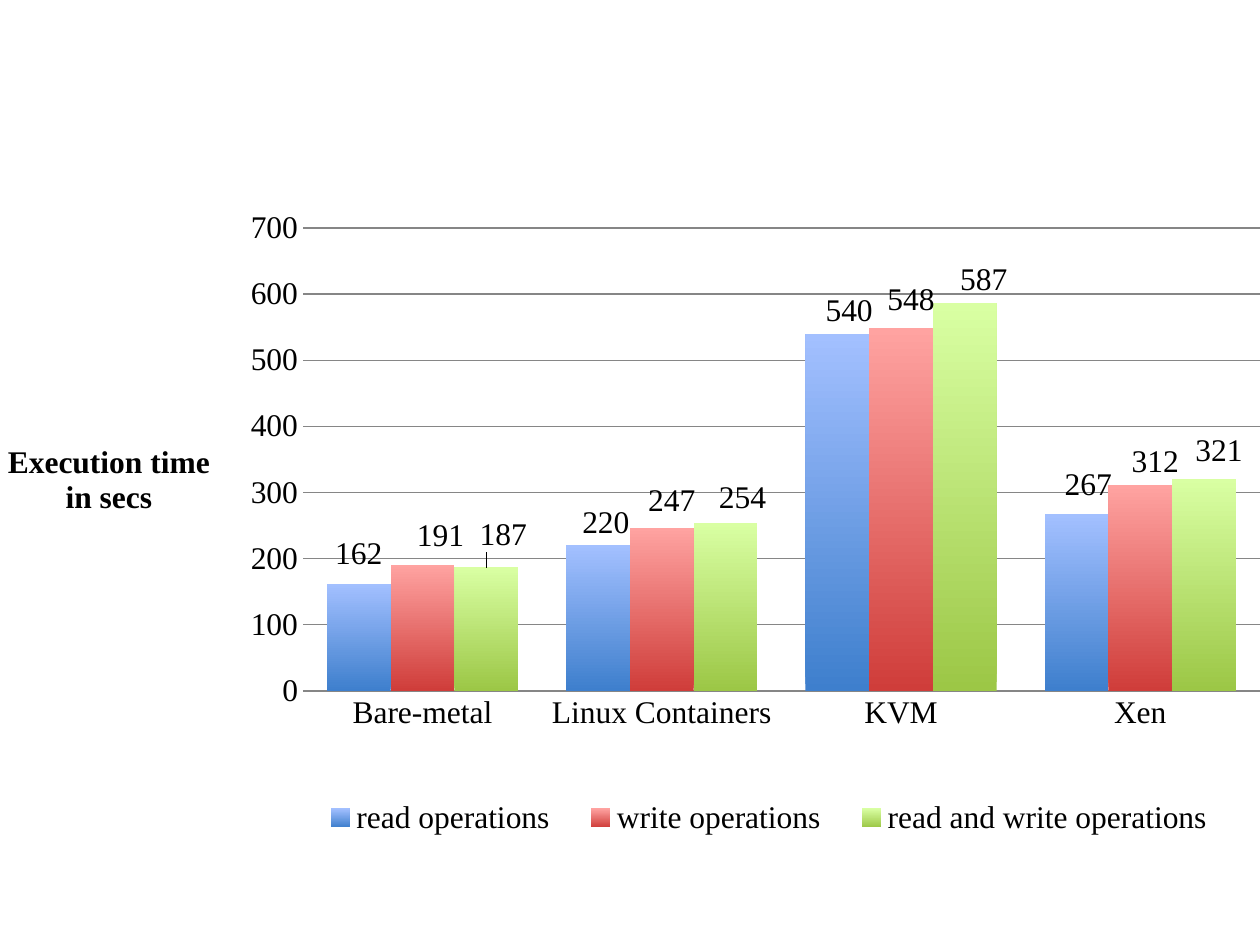
from dataclasses import dataclass

from pptx import Presentation
from pptx import util as u
from pptx.chart.data import CategoryChartData
from pptx.dml.color import RGBColor
from pptx.enum import chart as ch
from pptx.enum import text
from pptx.oxml import parse_xml
from pptx.oxml.ns import nsdecls

PX = 914400 // 126


@dataclass(frozen=True)
class Theme:
    font: str = "Times New Roman"
    size: int = 18
    ink: str = "000000"
    grid: str = "868686"


THEME = Theme()
SLIDE = (1260, 945)
CHART = (0, 118, 1263, 782)
PLOT = (303, 110, 957, 463)
LEGEND = (300, 675, 938, 50)
TITLE_AT = (4, 322)

CATEGORIES = ["Bare-metal", "Linux Containers", "KVM", "Xen"]
AXIS_TITLE = ["Execution time", "in secs"]
# name, values, (bottom, top) gradient colours, label shifts in px
SERIES = [
    ("read operations", [162, 220, 540, 267], ("3E7FCD", "A3C0FF"),
     [(0, -8), (8, 0), (12, -1), (12, -7)]),
    ("write operations", [191, 247, 548, 312], ("CF3D3A", "FFA3A1"),
     [(18, -7), (10, -5), (10, -7), (15, -1)]),
    ("read and write operations", [187, 254, 587, 321], ("9CC746", "D9FFA3"),
     [(17, -10), (17, -3), (19, -1), (15, -6)]),
]


def style(font, bold=False):
    font.name, font.size, font.bold = THEME.font, u.Pt(THEME.size), bold
    font.color.rgb = RGBColor.from_string(THEME.ink)


def add_text(tf, lines, bold=False, align=text.PP_ALIGN.CENTER):
    for i, line in enumerate(lines):
        p = tf.paragraphs[0] if i == 0 else tf.add_paragraph()
        p.alignment = align
        r = p.add_run()
        r.text = line
        style(r.font, bold)


def layout(x, y, w=None, h=None, inner=False, shift=False):
    """Manual layout in px of the chart; a shift is relative to the default place."""
    parts = ['<c:layoutTarget val="inner"/>'] if inner else []
    if not shift:
        parts += ['<c:xMode val="edge"/>', '<c:yMode val="edge"/>']
    for tag, value, whole in zip("xywh", (x, y, w, h), CHART[2:] * 2):
        if value is not None:
            parts.append(f'<c:{tag} val="{value / whole:.4f}"/>')
    return parse_xml(f'<c:layout {nsdecls("c")}><c:manualLayout>'
                     f'{"".join(parts)}</c:manualLayout></c:layout>')


def set_layout(parent, new, after=None):
    """Replace the layout of parent, placing it first or behind the named child."""
    for old in parent.xpath("c:layout"):
        parent.remove(old)
    if after:
        parent.xpath(after)[0].addnext(new)
    else:
        parent.insert(0, new)


def style_series(series, colors, shifts):
    fill = series.format.fill
    fill.gradient()
    fill.gradient_angle = 90
    for stop, color in zip(fill.gradient_stops, colors):
        stop.color.rgb = RGBColor.from_string(color)
    labels = series.data_labels
    labels.show_value = True
    labels.position = ch.XL_LABEL_POSITION.OUTSIDE_END
    style(labels.font)
    for i, (dx, dy) in enumerate(shifts):
        label = series.points[i].data_label
        style(label.font)
        label.position = ch.XL_LABEL_POSITION.OUTSIDE_END
    for dLbl, (dx, dy) in zip(series._element.xpath("c:dLbls/c:dLbl"), shifts):
        set_layout(dLbl, layout(dx, dy, shift=True), "c:idx")


def style_axes(chart):
    grey = RGBColor.from_string(THEME.grid)
    cat, val = chart.category_axis, chart.value_axis
    for axis in (cat, val):
        axis.major_tick_mark = axis.minor_tick_mark = ch.XL_TICK_MARK.NONE
        style(axis.tick_labels.font)
    cat.format.line.color.rgb = grey
    val.format.line.fill.background()
    val.minimum_scale, val.maximum_scale, val.major_unit = 0, 700, 100
    val.has_major_gridlines = True
    val.major_gridlines.format.line.color.rgb = grey
    tf = val.axis_title.text_frame
    add_text(tf, AXIS_TITLE, bold=True)
    body = tf._txBody.bodyPr
    body.set("rot", "0")
    body.set("vert", "horz")
    set_layout(val.axis_title._element, layout(*TITLE_AT), "c:tx")


def add_bar_chart(s):
    data = CategoryChartData()
    data.categories = CATEGORIES
    for name, values, *_ in SERIES:
        data.add_series(name, values)
    chart = s.shapes.add_chart(ch.XL_CHART_TYPE.COLUMN_CLUSTERED,
                               *(v * PX for v in CHART), data).chart
    style(chart.font)
    chart.has_title = False
    plot = chart.plots[0]
    plot.gap_width, plot.overlap, plot.vary_by_categories = 75, 0, False
    for series, (_, _, colors, shifts) in zip(plot.series, SERIES):
        style_series(series, colors, shifts)
    style_axes(chart)
    chart.has_legend = True
    legend = chart.legend
    legend.position = ch.XL_LEGEND_POSITION.BOTTOM
    legend.include_in_layout = False
    style(legend.font)
    set_layout(legend._element, layout(*LEGEND), "c:legendPos")
    set_layout(chart._chartSpace.xpath("c:chart/c:plotArea")[0],
               layout(*PLOT, inner=True))


def main():
    prs = Presentation()
    prs.slide_width, prs.slide_height = (v * PX for v in SLIDE)
    s = prs.slides.add_slide(prs.slide_layouts[6])
    add_bar_chart(s)
    prs.save("out.pptx")


if __name__ == "__main__":
    main()
